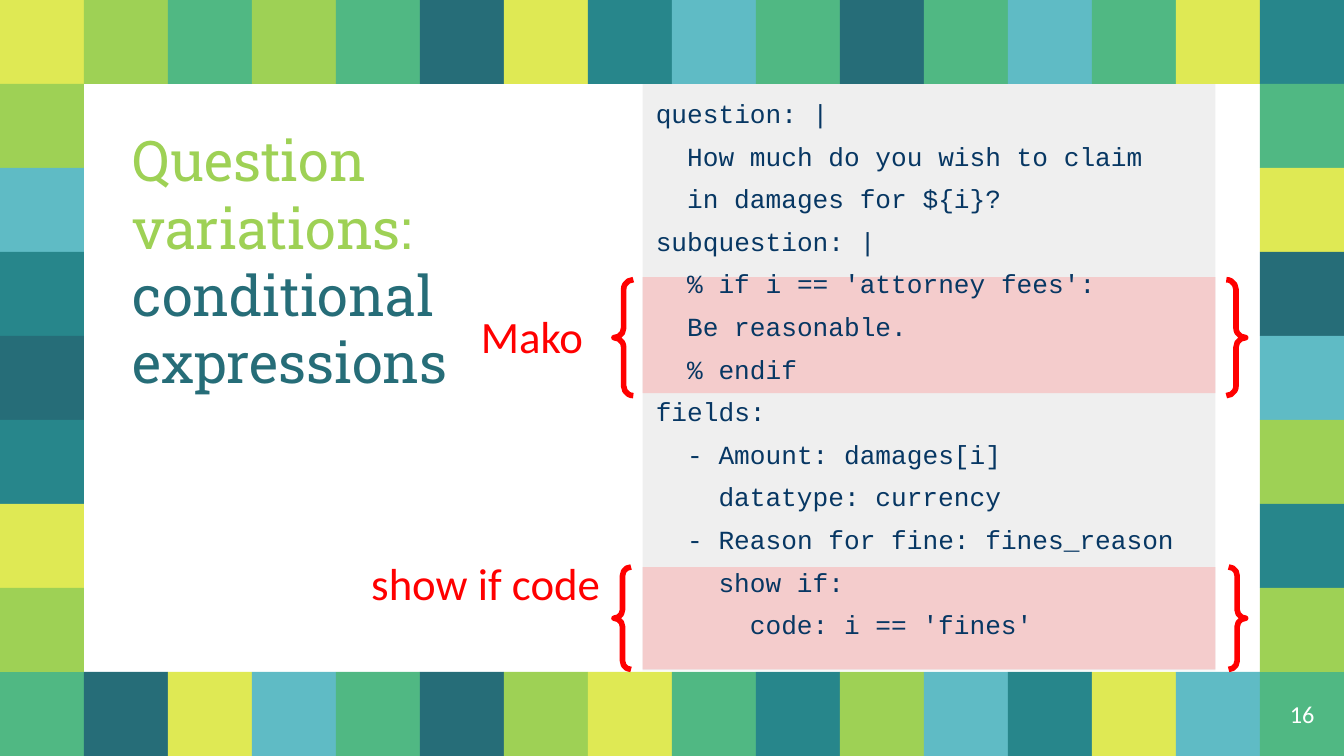
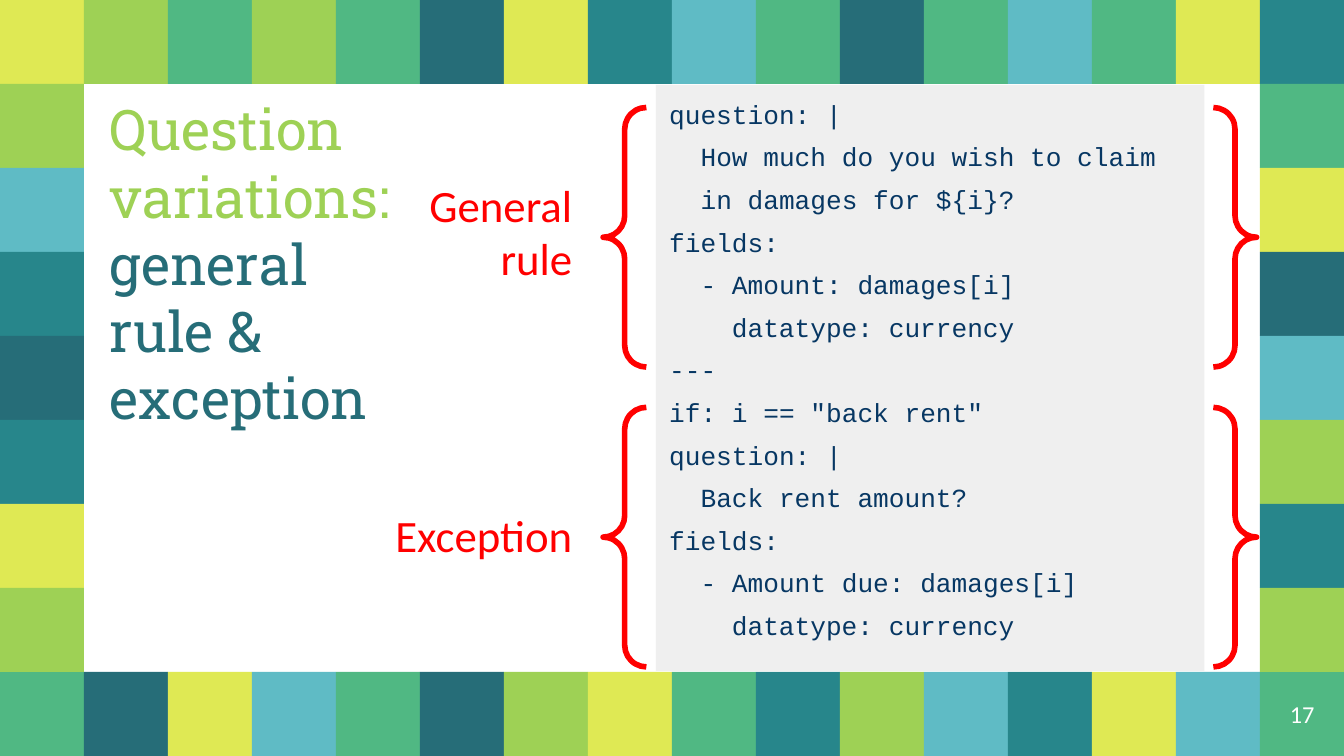
from dataclasses import dataclass

from pptx import Presentation
from pptx.dml.color import RGBColor
from pptx.enum.shapes import MSO_SHAPE as Shape
from pptx.enum.text import MSO_ANCHOR as Anchor, PP_ALIGN as Align
from pptx.util import Emu, Inches, Pt

COLUMNS, ROWS = 16, 9
TILE = Inches(10) // COLUMNS


@dataclass(frozen=True)
class Theme:
    lime: str = "9ED155"
    deep: str = "266D78"
    yellow: str = "DFE954"
    green: str = "50B883"
    teal: str = "27868B"
    sky: str = "5FBBC5"
    panel: str = "EFEFEF"
    highlight: str = "F4CCCC"
    accent: str = "FF0000"
    code: str = "073763"
    white: str = "FFFFFF"
    title_font: str = "Roboto Slab"
    code_font: str = "Courier New"
    label_font: str = "Calibri"
    title_size: int = 30
    label_size: int = 24
    code_size: int = 14
    number_size: int = 13
    code_gap: int = 6
    code_character: float = 8.4
    brace_width: int = 3
    inset: float = 0.1


THEME = Theme()
TILE_COLOURS = {
    "L": THEME.lime, "D": THEME.deep, "Y": THEME.yellow,
    "G": THEME.green, "T": THEME.teal, "S": THEME.sky,
}
TOP_TILES = "YLGLGDYTSGDGSGYT"
BOTTOM_TILES = "GDYSGDLYGTLSTYSG"
LEFT_TILES = "LSTDTYL"
RIGHT_TILES = "GYDSLTL"

CONDITIONAL_CODE = """\
question: |
  How much do you wish to claim
  in damages for ${i}?
subquestion: |
  % if i == 'attorney fees':
  Be reasonable.
  % endif
fields:
  - Amount: damages[i]
    datatype: currency
  - Reason for fine: fines_reason
    show if:
      code: i == 'fines'"""

EXCEPTION_CODE = """\
question: |
  How much do you wish to claim
  in damages for ${i}?
fields:
  - Amount: damages[i]
    datatype: currency
---
if: i == "back rent"
question: |
  Back rent amount?
fields:
  - Amount due: damages[i]
    datatype: currency"""


def on_grid(*cells):
    return [Emu(round(cell * TILE)) for cell in cells]


def colour(value):
    return RGBColor.from_string(value)


def add_block(slide, area, fill):
    shape = slide.shapes.add_shape(Shape.RECTANGLE, *on_grid(*area))
    shape.shadow.inherit = False
    shape.fill.solid()
    shape.fill.fore_color.rgb = colour(fill)
    shape.line.fill.background()


def add_braces(slide, area):
    shape = slide.shapes.add_shape(Shape.DOUBLE_BRACE, *on_grid(*area))
    shape.shadow.inherit = False
    shape.fill.background()
    shape.line.color.rgb = colour(THEME.accent)
    shape.line.width = Pt(THEME.brace_width)


def add_text_frame(slide, area, anchor=Anchor.TOP):
    frame = slide.shapes.add_textbox(*on_grid(*area)).text_frame
    frame.word_wrap = True
    frame.vertical_anchor = anchor
    frame.margin_left = frame.margin_right = Inches(THEME.inset)
    frame.margin_top = frame.margin_bottom = Inches(THEME.inset)
    return frame


def add_paragraphs(frame, count):
    for _ in range(count - 1):
        frame.add_paragraph()
    return frame.paragraphs


def set_font(font, name, size, value=None):
    font.name = name
    font.size = Pt(size)
    if value:
        font.color.rgb = colour(value)


def add_title(slide, area, lines):
    frame = add_text_frame(slide, area, Anchor.BOTTOM)
    for paragraph, runs in zip(add_paragraphs(frame, len(lines)), lines):
        set_font(paragraph.font, THEME.title_font, THEME.title_size)
        for text, value in runs:
            run = paragraph.add_run()
            run.text = text
            run.font.color.rgb = colour(value)


def add_code(slide, area, code):
    frame = add_text_frame(slide, area)
    lines = code.splitlines()
    for paragraph, line in zip(add_paragraphs(frame, len(lines)), lines):
        paragraph.text = line.lstrip()
        paragraph.space_before = Pt(THEME.code_gap)
        set_font(paragraph.font, THEME.code_font, THEME.code_size, THEME.code)
        indent = len(line) - len(paragraph.text)
        properties = paragraph._p.get_or_add_pPr()
        properties.set("marL", str(Pt(indent * THEME.code_character)))
        properties.set("indent", "0")


def add_label(slide, area, text):
    paragraph = add_text_frame(slide, area).paragraphs[0]
    paragraph.text = text
    paragraph.alignment = Align.RIGHT
    set_font(paragraph.font, THEME.label_font, THEME.label_size, THEME.accent)


def add_number(slide, number):
    area = (COLUMNS - 1, ROWS - 1, 1, 1)
    paragraph = add_text_frame(slide, area, Anchor.MIDDLE).paragraphs[0]
    paragraph.text = str(number)
    paragraph.alignment = Align.CENTER
    set_font(paragraph.font, THEME.label_font, THEME.number_size, THEME.white)


def add_mosaic_frame(slide):
    for row, tiles in ((0, TOP_TILES), (ROWS - 1, BOTTOM_TILES)):
        for column, tile in enumerate(tiles):
            add_block(slide, (column, row, 1, 1), TILE_COLOURS[tile])
    for column, tiles in ((0, LEFT_TILES), (COLUMNS - 1, RIGHT_TILES)):
        for row, tile in enumerate(tiles, start=1):
            add_block(slide, (column, row, 1, 1), TILE_COLOURS[tile])


def add_framed_slide(presentation, number):
    slide = presentation.slides.add_slide(presentation.slide_layouts[6])
    add_mosaic_frame(slide)
    add_number(slide, number)
    return slide


def add_conditional_slide(presentation):
    slide = add_framed_slide(presentation, 16)
    left, width = 7.65, 6.82
    panel = (left, 1, width, 6.98)
    add_block(slide, panel, THEME.panel)
    for top, height in ((3.3, 1.38), (6.75, 1.22)):
        add_block(slide, (left, top, width, height), THEME.highlight)
    for top, height in ((3.33, 1.38), (6.75, 1.22)):
        add_braces(slide, (7.31, top, 7.52, height))
    add_code(slide, panel, CONDITIONAL_CODE)
    add_label(slide, (5.2, 3.52, 1.9, 1), "Mako")
    add_label(slide, (4.22, 6.45, 3.08, 1.54), "show if code")
    add_title(slide, (1.42, 1.42, 4.26, 3.44), [
        [("Question", THEME.lime)],
        [("variations: ", THEME.lime), ("conditional expressions", THEME.deep)],
    ])


def add_exception_slide(presentation):
    slide = add_framed_slide(presentation, 17)
    panel = (7.81, 1.01, 6.53, 6.98)
    add_block(slide, panel, THEME.panel)
    add_code(slide, panel, EXCEPTION_CODE)
    for top in (1.28, 4.85):
        add_braces(slide, (7.18, top, 7.78, 3.09))
    add_label(slide, (4.54, 1.95, 2.43, 1.57), "General rule")
    add_label(slide, (3.9, 5.89, 3.07, 1), "Exception")
    add_title(slide, (1.15, 1.02, 3.73, 4.27), [
        [("Question", THEME.lime)],
        [("variations:", THEME.lime)],
        [("general rule & exception", THEME.deep)],
    ])


def main():
    presentation = Presentation()
    presentation.slide_width, presentation.slide_height = on_grid(COLUMNS, ROWS)
    add_conditional_slide(presentation)
    add_exception_slide(presentation)
    presentation.save("out.pptx")


if __name__ == "__main__":
    main()
